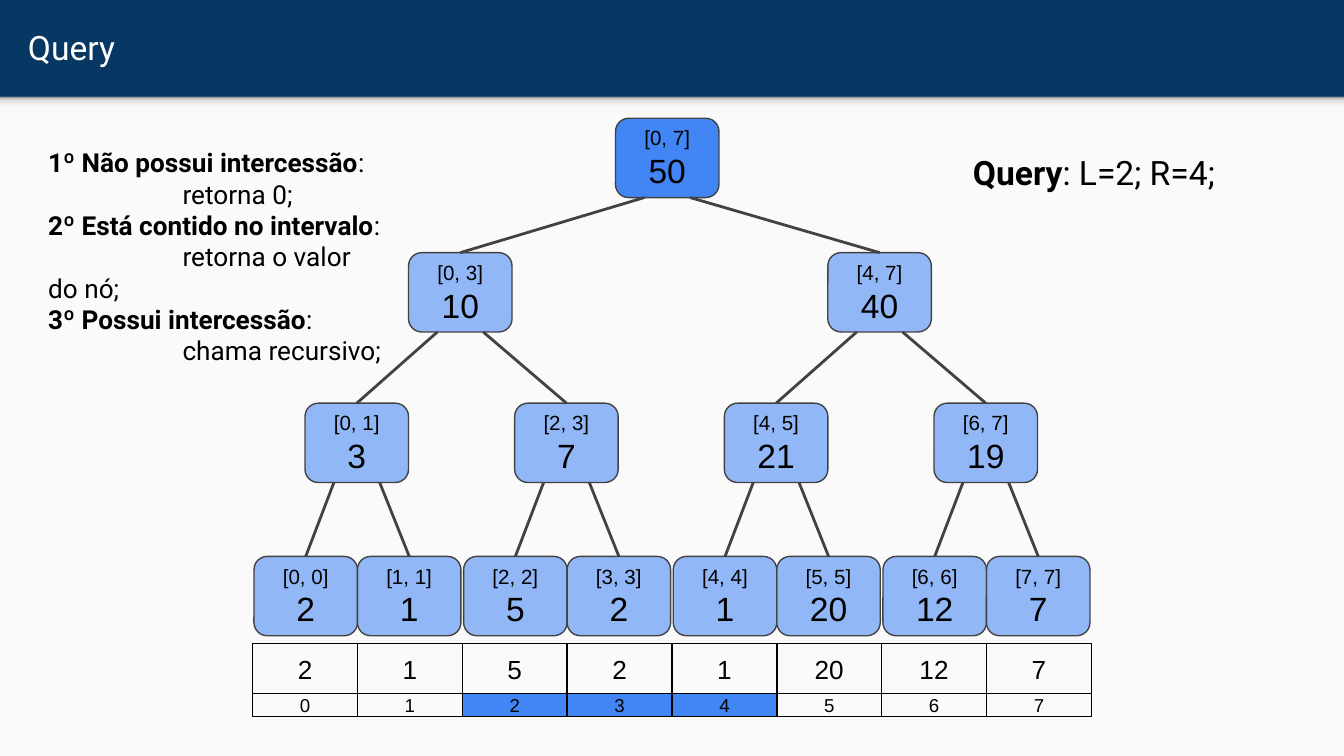
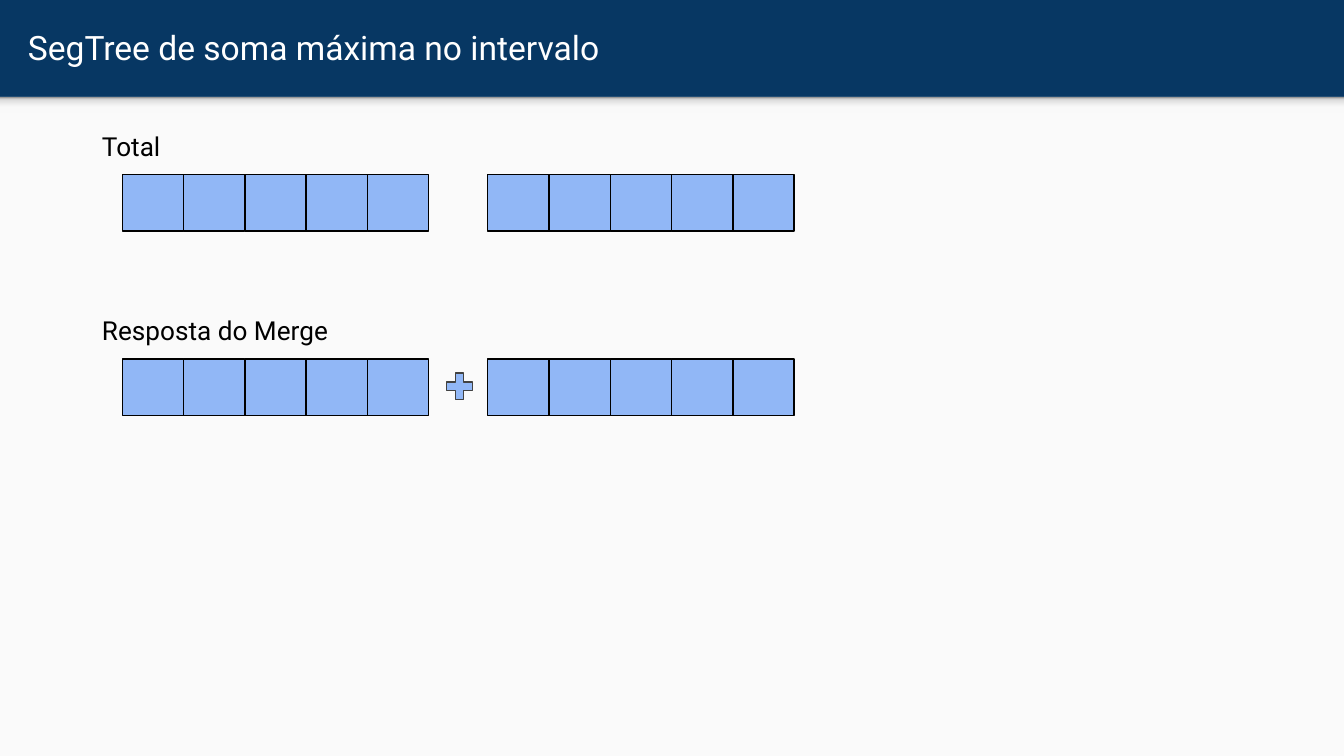
import pptx
import pptx.util
import pptx.dml.color
import pptx.enum.shapes
import pptx.enum.text
import pptx.oxml.ns
from lxml import etree

Inches = pptx.util.Inches
Pt = pptx.util.Pt
SHAPE = pptx.enum.shapes.MSO_SHAPE
ANCHOR = pptx.enum.text.MSO_ANCHOR
ALIGN = pptx.enum.text.PP_ALIGN
qn = pptx.oxml.ns.qn

# Shared look
WIDE, TALL = 10, 10 * 9 / 16
NAVY, PAPER, BLUE = "073763", "FAFAFA", "4285F4"
GREY, BLACK, WHITE = "424242", "000000", "FFFFFF"
SHADE = [(0, "F9F9F9"), (36, "F9F9F9"), (80, "DEDEDE"), (100, "999999")]
PALE = 57  # opacity of the light blue, percent

# Tree
LEAVES = [2, 1, 5, 2, 1, 20, 12, 7]
NODE_W, NODE_H = 0.77, 0.59
LEVELS = [  # top, lefts
    (0.88, [4.58]),
    (1.88, [3.04 + 3.12 * i for i in range(2)]),
    (3.0, [2.27 + 1.56 * i for i in range(4)]),
    (4.14, [1.89 + 1.56 * (i // 2) + NODE_W * (i % 2) for i in range(8)]),
]
FORK = 0.17  # branch start, left or right of the node's middle

RULES = [
    ("1º Não possui intercessão", "retorna 0;"),
    ("2º Está contido no intervalo", "retorna o valor do nó;"),
    ("3º Possui intercessão", "chama recursivo;"),
]


def color(code):
    return pptx.dml.color.RGBColor.from_string(code)


def style(par, size, font, code=BLACK):
    par.font.size = Pt(size)
    par.font.name = font
    par.font.color.rgb = color(code)


def frame(shape, anchor):
    """Prepare the text frame of a shape and return it."""
    text = shape.text_frame
    text.word_wrap = True
    text.vertical_anchor = anchor
    text.margin_left = text.margin_right = Inches(0.1)
    text.margin_top = text.margin_bottom = Inches(0.1)
    return text


def box(slide, kind, x, y, w, h, fill=None, line=None, alpha=100):
    shape = slide.shapes.add_shape(kind, Inches(x), Inches(y), Inches(w), Inches(h))
    shape.shadow.inherit = False
    if fill:
        shape.fill.solid()
        shape.fill.fore_color.rgb = color(fill)
        if alpha < 100:
            tone = shape._element.spPr.find(qn("a:solidFill"))[0]
            etree.SubElement(tone, qn("a:alpha"), val=str(alpha * 1000))
    else:
        shape.fill.background()
    if line:
        shape.line.color.rgb = color(line)
        shape.line.width = Pt(0.75)
    else:
        shape.line.fill.background()
    return shape


def label(shape, *lines):
    """Centre lines of (text, size) in a shape."""
    text = frame(shape, ANCHOR.MIDDLE)
    for i, (words, size) in enumerate(lines):
        par = text.add_paragraph() if i else text.paragraphs[0]
        par.text = words
        par.alignment = ALIGN.CENTER
        style(par, size, "Arial")


def note(slide, x, y, w, h, size, lines, code=BLACK, anchor=ANCHOR.TOP, grow=True):
    """Text box; each line is a list of (text, bold) runs."""
    area = slide.shapes.add_textbox(Inches(x), Inches(y), Inches(w), Inches(h))
    text = frame(area, anchor)
    if grow:
        text.auto_size = pptx.enum.text.MSO_AUTO_SIZE.SHAPE_TO_FIT_TEXT
    for i, runs in enumerate(lines):
        par = text.add_paragraph() if i else text.paragraphs[0]
        style(par, size, "Roboto", code)
        for words, bold in runs:
            run = par.add_run()
            run.text = words
            run.font.bold = bold
        # A tabbed line starts half an inch in and wraps to the margin
        if runs[0][0].startswith("\t"):
            props = par._p.get_or_add_pPr()
            props.set("marL", "0")
            props.set("indent", str(Inches(0.5)))


def page(deck, title):
    """New slide with the navy band, its soft edge and a title."""
    slide = deck.slides.add_slide(deck.slide_layouts[6])
    back = slide.background.fill
    back.solid()
    back.fore_color.rgb = color(NAVY)
    box(slide, SHAPE.RECTANGLE, 0, 0.72, WIDE, TALL - 0.72, PAPER)
    edge = box(slide, SHAPE.RECTANGLE, 0, 0.72, WIDE, 0.12)
    edge.fill.gradient()
    edge.fill.gradient_angle = 90
    stops = edge._element.spPr.find(qn("a:gradFill")).find(qn("a:gsLst"))
    for stop in list(stops):
        stops.remove(stop)
    for pos, code in SHADE:
        stop = etree.SubElement(stops, qn("a:gs"), pos=str(pos * 1000))
        etree.SubElement(stop, qn("a:srgbClr"), val=code)
    note(slide, 0.11, 0.02, 9.65, 0.66, 18, [[(title, False)]], WHITE,
         ANCHOR.MIDDLE, False)
    return slide


def branch(slide, x, y, child):
    line = slide.shapes.add_connector(
        pptx.enum.shapes.MSO_CONNECTOR.STRAIGHT,
        Inches(x), Inches(y), child.left, child.top)
    line.end_connect(child, 0)
    line.line.color.rgb = color(GREY)
    line.line.width = Pt(1.5)
    etree.SubElement(line._element.spPr, qn("a:effectLst"))


def tree(slide):
    """Each node shows its interval and the sum of its leaves."""
    above = []
    for top, lefts in LEVELS:
        span = len(LEAVES) // len(lefts)
        nodes = []
        for i, left in enumerate(lefts):
            low, high = i * span, (i + 1) * span
            node = box(slide, SHAPE.ROUNDED_RECTANGLE, left, top, NODE_W, NODE_H,
                       BLUE, GREY, PALE if above else 100)
            label(node, (f"[{low}, {high - 1}]", 11), (str(sum(LEAVES[low:high])), 18))
            if above:
                x, y = above[i // 2]
                branch(slide, x + (FORK if i % 2 else -FORK), y, node)
            nodes.append((left + NODE_W / 2, top + NODE_H))
        above = nodes


def array(slide, first, last):
    """Values over their indexes, with the queried range marked."""
    for i, value in enumerate(LEAVES):
        x = 1.88 + 0.78 * i
        mark = BLUE if first <= i <= last else None
        label(box(slide, SHAPE.RECTANGLE, x, 4.79, 0.78, 0.37, None, BLACK), (str(value), 14))
        label(box(slide, SHAPE.RECTANGLE, x, 5.16, 0.78, 0.17, mark, BLACK), (str(i), 10))


def strips(slide, title, y):
    """Heading over two strips of five cells."""
    for left in (0.91, 3.63):
        for i in range(5):
            box(slide, SHAPE.RECTANGLE, left + 2.28 / 5 * i, y, 2.28 / 5, 0.42,
                BLUE, BLACK, PALE)
    note(slide, 0.66, y - 0.43, 4.11, 0.44, 14, [[(title, False)]])


def main():
    deck = pptx.Presentation()
    deck.slide_width, deck.slide_height = Inches(WIDE), Inches(TALL)

    # Query on the tree
    slide = page(deck, "Query")
    array(slide, 2, 4)
    tree(slide)
    note(slide, 7.14, 1.03, 2.39, 0.81, 18, [[("Query", True), (": L=2; R=4;", False)]])
    lines = []
    for case, action in RULES:
        lines += [[(case, True), (":", False)], [("\t" + action, False)]]
    note(slide, 0.26, 0.99, 2.71, 1.62, 14, lines)

    # Maximum sum
    slide = page(deck, "SegTree de soma máxima no intervalo")
    strips(slide, "Total", 1.3)
    strips(slide, "Resposta do Merge", 2.67)
    plus = box(slide, SHAPE.MATH_PLUS, 3.29, 2.74, 0.26, 0.27, BLUE, GREY, PALE)
    plus.adjustments[0] = 0.24

    deck.save("out.pptx")


if __name__ == "__main__":
    main()
